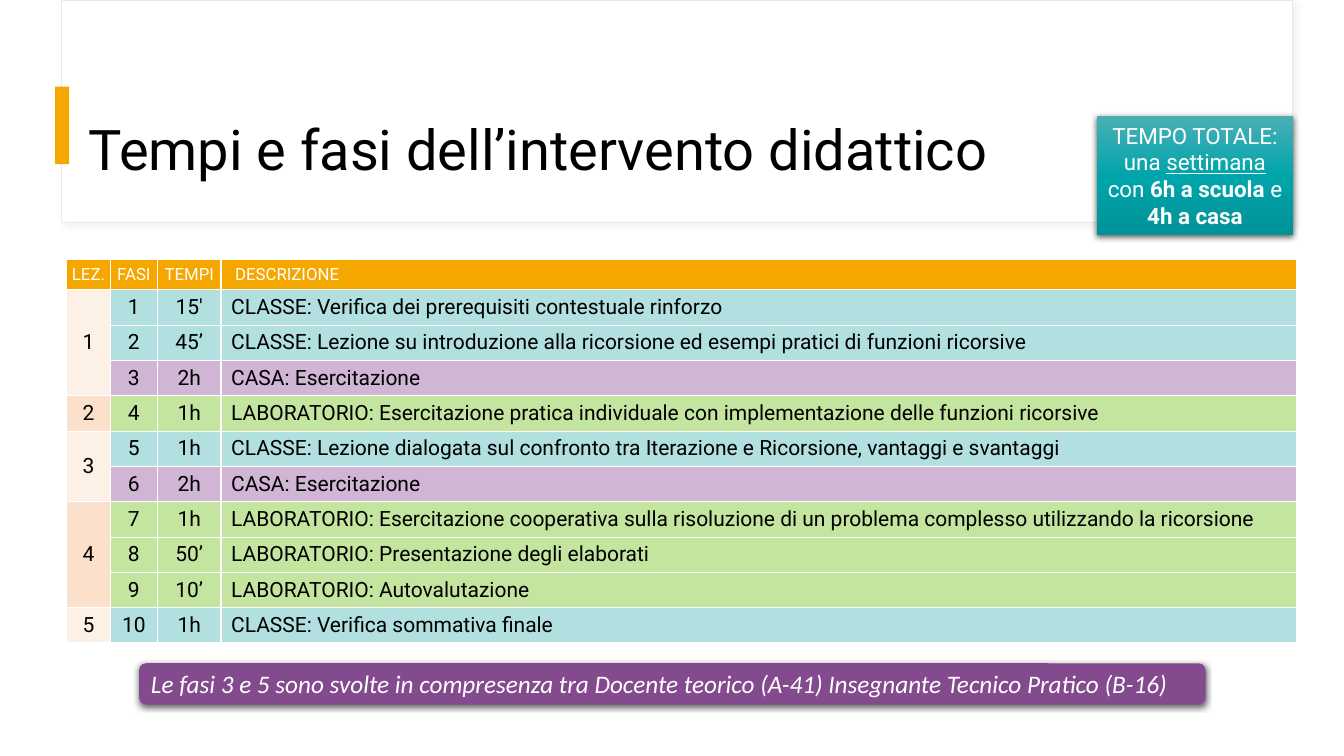
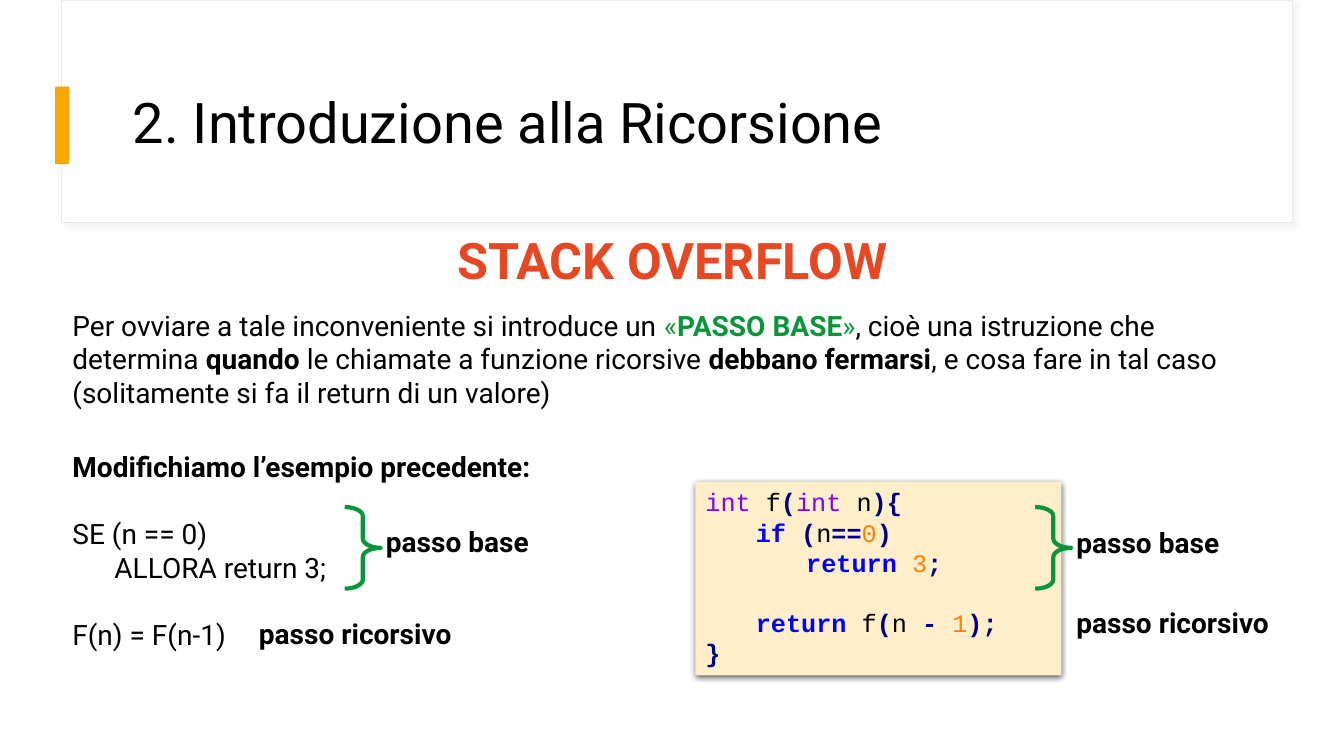
from copy import deepcopy
from dataclasses import dataclass
from itertools import count
from typing import NamedTuple

from lxml.etree import SubElement
from pptx import Presentation
from pptx.dml.color import RGBColor
from pptx.enum.shapes import MSO_SHAPE as Preset
from pptx.enum.text import MSO_ANCHOR as Anchor, PP_ALIGN as Align
from pptx.oxml.ns import qn
from pptx.util import Emu, Pt

GRID_COLUMNS, GRID_ROWS = 80, 45
UNIT = 152400
BLACK, WHITE, AMBER, GREEN = "000000", "FFFFFF", "F5A700", "09963B"
PURPLE, RED, CREAM, PALE_GRAY = "834B8E", "E64823", "FFEECA", "E9E9E9"
TEAL_STOPS = ((0, "4BAFB5"), (0.5, "00A5AB"), (1, "009398"))
LESSON_COLORS = ("FDF1E7", "FBE1CB")
PLACE_COLORS = {"CLASSE": "B2DFE0", "CASA": "D0B5D5", "LABORATORIO": "C4E59F"}
CODE_STYLES = {
    "type": {"color": "8000FF"},
    "name": {"color": BLACK},
    "sign": {"color": "000080", "bold": True},
    "word": {"color": "0000FF", "bold": True},
    "number": {"color": "FF8000"},
}


class Box(NamedTuple):
    column: float
    row: float
    columns: float
    rows: float


class Run(NamedTuple):
    text: str
    color: str = ""
    bold: bool = False
    italic: bool = False
    underline: bool = False


@dataclass(frozen=True)
class Line:
    runs: tuple[Run, ...]
    before: float = 0
    after: float = 0
    indent: float = 0
    spacing: float | None = None


@dataclass(frozen=True)
class Look:
    size: float
    color: str = BLACK
    font: str = "Roboto"
    align: Align = Align.LEFT


@dataclass(frozen=True)
class Shadow:
    color: str = "000000"
    alpha: int = 63
    blur: float = 4.5
    distance: float = 1.5
    angle: int = 90


@dataclass(frozen=True)
class Phase:
    duration: str
    place: str
    topic: str


class Label(NamedTuple):
    text: str
    box: Box


LESSONS = (
    (
        Phase("15'", "CLASSE", "Verifica dei prerequisiti contestuale rinforzo"),
        Phase("45’", "CLASSE", "Lezione su introduzione alla ricorsione ed esempi pratici di funzioni ricorsive"),
        Phase("2h", "CASA", "Esercitazione"),
    ),
    (Phase("1h", "LABORATORIO", "Esercitazione pratica individuale con implementazione delle funzioni ricorsive"),),
    (
        Phase("1h", "CLASSE", "Lezione dialogata sul confronto tra Iterazione e Ricorsione, vantaggi e svantaggi"),
        Phase("2h", "CASA", "Esercitazione"),
    ),
    (
        Phase("1h", "LABORATORIO",
              "Esercitazione cooperativa sulla risoluzione di un problema complesso utilizzando la ricorsione"),
        Phase("50’", "LABORATORIO", "Presentazione degli elaborati"),
        Phase("10’", "LABORATORIO", "Autovalutazione"),
    ),
    (Phase("1h", "CLASSE", "Verifica sommativa finale"),),
)
HEADINGS = ("LEZ.", "FASI", "TEMPI", "DESCRIZIONE")
TABLE_COLUMNS = (2.58, 2.82, 3.78, 64.02)
HEADER_HEIGHT, PHASE_HEIGHT = 1.74, 2.07
CODE = (
    (("int", "type"), (" f", "name"), ("(", "sign"), ("int", "type"), (" n", "name"), ("){", "sign")),
    (("\t", "name"), ("if ", "word"), ("(", "sign"), ("n", "name"), ("==", "sign"), ("0", "number"), (")", "sign")),
    (("\t\t", "name"), ("return ", "word"), ("3", "number"), (";", "sign")),
    (("\t", "name"), ("return", "word"), (" f", "name"), ("(", "sign"), ("n ", "name"), ("- ", "sign"),
     ("1", "number"), (");", "sign")),
    (("}", "sign"),),
)
GAP_BEFORE_CODE_LINE = {3: 21}
STEP_LABELS = (
    Label("passo base", Box(63.48, 30.96, 11.34, 2.64)),
    Label("passo ricorsivo", Box(63.48, 35.76, 13.5, 2.64)),
    Label("passo base", Box(22.38, 30.9, 11.34, 2.64)),
    Label("passo ricorsivo", Box(14.82, 36.42, 13.5, 2.64)),
)
BRACE_COLUMNS = (61.62, 20.52)


def rgb(color: str) -> RGBColor:
    return RGBColor.from_string(color)


def span(units: float) -> Emu:
    return Emu(round(units * UNIT))


def place(box: Box) -> list[Emu]:
    return [span(units) for units in box]


def plain(text: str, **values) -> Line:
    return Line((Run(text),), **values)


def write(frame, lines: tuple[Line, ...], look: Look) -> None:
    frame.word_wrap = True
    for index, line in enumerate(lines):
        paragraph = frame.add_paragraph() if index else frame.paragraphs[0]
        layout = {
            "alignment": look.align,
            "space_before": Pt(line.before),
            "space_after": Pt(line.after),
            "line_spacing": line.spacing,
        }
        for name, value in layout.items():
            setattr(paragraph, name, value)
        if line.indent:
            paragraph._p.get_or_add_pPr().set("marL", str(span(line.indent)))
        for part in line.runs:
            run = paragraph.add_run()
            run.text = part.text
            values = {
                "size": Pt(look.size),
                "name": look.font,
                "bold": part.bold,
                "italic": part.italic,
                "underline": part.underline,
            }
            for name, value in values.items():
                setattr(run.font, name, value)
            run.font.color.rgb = rgb(part.color or look.color)


def add_text(slide, box: Box, lines: tuple[Line, ...], look: Look, anchor: Anchor = Anchor.TOP) -> None:
    frame = slide.shapes.add_textbox(*place(box)).text_frame
    frame.vertical_anchor = anchor
    write(frame, lines, look)


def add_panel(slide, box: Box, fill: str = "", preset: Preset = Preset.RECTANGLE, line: str = "",
              line_width: float = 0.75, shadow: Shadow | None = None):
    shape = slide.shapes.add_shape(preset, *place(box))
    shape.shadow.inherit = False
    if fill:
        shape.fill.solid()
        shape.fill.fore_color.rgb = rgb(fill)
    else:
        shape.fill.background()
    if line:
        shape.line.color.rgb = rgb(line)
        shape.line.width = Pt(line_width)
    else:
        shape.line.fill.background()
    if shadow:
        effects = shape._element.spPr.find(qn("a:effectLst"))
        outer = SubElement(effects, qn("a:outerShdw"), blurRad=str(Pt(shadow.blur)), dist=str(Pt(shadow.distance)),
                           dir=str(shadow.angle * 60000), algn="ctr", rotWithShape="0")
        tint = SubElement(outer, qn("a:srgbClr"), val=shadow.color)
        SubElement(tint, qn("a:alpha"), val=str(shadow.alpha * 1000))
    return shape


def fill_gradient(shape, stops: tuple[tuple[float, str], ...]) -> None:
    shape.fill.gradient()
    shape.fill.gradient_angle = 270
    stop_list = shape._element.spPr.find(".//" + qn("a:gsLst"))
    stop_list.insert(1, deepcopy(stop_list[0]))
    for stop, (position, color) in zip(shape.fill.gradient_stops, stops):
        stop.position = position
        stop.color.rgb = rgb(color)


def add_base(presentation, title: str, title_box: Box):
    slide = presentation.slides.add_slide(presentation.slide_layouts[6])
    add_panel(slide, Box(3.68, 0, 73.24, 13.23), WHITE, line=PALE_GRAY, shadow=Shadow("D9D9D9", 30, 4, 3, 45))
    add_panel(slide, Box(3.28, 5.16, 0.84, 4.62), AMBER)
    add_text(slide, title_box, (plain(title, spacing=0.9),), Look(40), Anchor.MIDDLE)
    return slide


def style_cell(cell, fill: str) -> None:
    properties = cell._tc.get_or_add_tcPr()
    for side in ("a:lnL", "a:lnR", "a:lnT", "a:lnB"):
        border = SubElement(properties, qn(side), w=str(Pt(1)))
        SubElement(SubElement(border, qn("a:solidFill")), qn("a:srgbClr"), val=WHITE)
    cell.fill.solid()
    cell.fill.fore_color.rgb = rgb(fill)
    cell.vertical_anchor = Anchor.MIDDLE


def add_schedule(slide) -> None:
    phase_count = sum(map(len, LESSONS))
    box = Box(3.98, 15.45, sum(TABLE_COLUMNS), HEADER_HEIGHT + phase_count * PHASE_HEIGHT)
    table = slide.shapes.add_table(phase_count + 1, len(HEADINGS), *place(box)).table
    table.horz_banding = False
    for column, width in zip(table.columns, TABLE_COLUMNS):
        column.width = span(width)
    for index, row in enumerate(table.rows):
        row.height = span(PHASE_HEIGHT if index else HEADER_HEIGHT)
    aligns = (Align.CENTER, Align.CENTER, Align.CENTER, Align.LEFT)
    for column, (heading, align) in enumerate(zip(HEADINGS, aligns)):
        cell = table.cell(0, column)
        style_cell(cell, AMBER)
        cell.margin_left = cell.margin_right = span(0.24 if align == Align.CENTER else 0.84)
        write(cell.text_frame, (plain(heading),), Look(12, WHITE, align=align))
    numbers = count(1)
    for lesson, phases in enumerate(LESSONS):
        for position, phase in enumerate(phases):
            number = next(numbers)
            texts = ("" if position else str(lesson + 1), str(number), phase.duration, f"{phase.place}: {phase.topic}")
            fills = (LESSON_COLORS[lesson % 2],) + (PLACE_COLORS[phase.place],) * 3
            for column, (text, fill, align) in enumerate(zip(texts, fills, aligns)):
                cell = table.cell(number, column)
                style_cell(cell, fill)
                if text:
                    write(cell.text_frame, (plain(text),), Look(15, align=align))
        if len(phases) > 1:
            table.cell(number - len(phases) + 1, 0).merge(table.cell(number, 0))


def build_schedule_slide(presentation) -> None:
    slide = add_base(presentation, "Tempi e fasi dell’intervento didattico", Box(4.68, 3.66, 71.76, 10.86))
    total = add_panel(slide, Box(65.28, 6.9, 11.7, 7.08), WHITE, shadow=Shadow())
    fill_gradient(total, TEAL_STOPS)
    total_runs = (Run("una "), Run("settimana", underline=True), Run(" con "), Run("6h a scuola ", bold=True),
                  Run("e "), Run("4h a casa", bold=True))
    write(total.text_frame, (plain("TEMPO TOTALE:"), Line(total_runs)), Look(16, WHITE, align=Align.CENTER))
    add_schedule(slide)
    note = add_panel(slide, Box(8.28, 39.48, 63.48, 2.46), PURPLE, Preset.ROUNDED_RECTANGLE, shadow=Shadow())
    note_text = "Le fasi 3 e 5 sono svolte in compresenza tra Docente teorico (A-41) Insegnante Tecnico Pratico (B-16)"
    write(note.text_frame, (Line((Run(note_text, italic=True),)),), Look(18, WHITE, "Calibri"))


def build_recursion_slide(presentation) -> None:
    slide = add_base(presentation, "2. Introduzione alla Ricorsione", Box(7.32, 3.6, 68.16, 7.74))
    code = add_panel(slide, Box(41.4, 28.68, 21.78, 11.52), CREAM, shadow=Shadow())
    code.text_frame.vertical_anchor = Anchor.TOP
    code_lines = tuple(
        Line(tuple(Run(text, **CODE_STYLES[kind]) for text, kind in tokens), before=GAP_BEFORE_CODE_LINE.get(index, 0))
        for index, tokens in enumerate(CODE)
    )
    write(code.text_frame, code_lines, Look(18, font="Courier New"))
    body = Look(20)
    explanation = (
        Run("Per ovviare a tale inconveniente si introduce un "), Run("«", GREEN), Run("PASSO BASE", GREEN, True),
        Run("»", GREEN), Run(", cioè una istruzione che determina "), Run("quando ", bold=True),
        Run("le chiamate a funzione ricorsive "), Run("debbano fermarsi", bold=True),
        Run(", e cosa fare in tal caso (solitamente si fa il return di un valore)"),
    )
    add_text(slide, Box(3.72, 18.06, 73.26, 6.66), (Line(explanation),), body)
    add_text(slide, Box(22.38, 13.32, 35.28, 4.26), (Line((Run("STACK OVERFLOW", bold=True),)),),
             Look(36, RED, align=Align.CENTER))
    example = (
        Line((Run("Modifichiamo l’esempio precedente:", bold=True),), after=18),
        plain("SE (n == 0)", before=6),
        plain("ALLORA return 3;", after=18, indent=2.5),
        plain("F(n) = F(n-1)", before=6),
    )
    add_text(slide, Box(3.72, 26.46, 35.28, 12.72), example, body)
    for label in STEP_LABELS:
        add_text(slide, label.box, (Line((Run(label.text, bold=True),)),), body)
    for column in BRACE_COLUMNS:
        brace = add_panel(slide, Box(column, 30.18, 2.16, 4.86), preset=Preset.RIGHT_BRACE, line=GREEN, line_width=3)
        brace.adjustments[0], brace.adjustments[1] = 0.25, 0.5


def main() -> None:
    """Build the lesson schedule and recursion slides."""
    presentation = Presentation()
    presentation.slide_width, presentation.slide_height = span(GRID_COLUMNS), span(GRID_ROWS)
    build_schedule_slide(presentation)
    build_recursion_slide(presentation)
    presentation.save("out.pptx")


if __name__ == "__main__":
    main()
